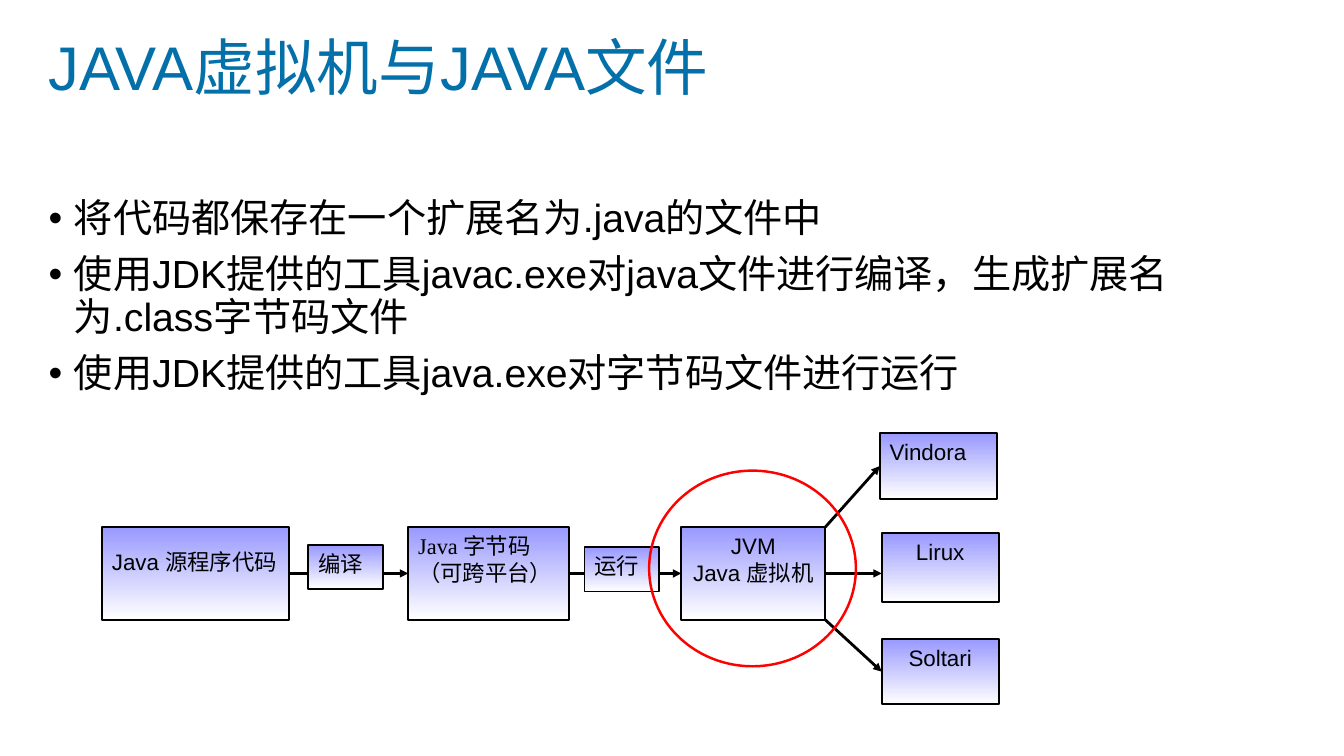
from lxml import etree
from pptx import Presentation
from pptx.dml.color import RGBColor
from pptx.enum import shapes, text
from pptx.oxml.ns import qn
from pptx.util import Cm, Pt

COLORS = {"title": "0370A9", "ink": "000000", "box_top": "9999FF",
          "box_bottom": "FFFFFF", "highlight": "FF0000"}
SANS, SERIF = "Arial", "Times New Roman"
JUSTIFY, CENTER = text.PP_ALIGN.JUSTIFY, text.PP_ALIGN.CENTER

TITLE = "JAVA虚拟机与JAVA文件"
POINTS = [
    "将代码都保存在一个扩展名为.java的文件中",
    "使用JDK提供的工具javac.exe对java文件进行编译，生成扩展名为.class字节码文件",
    "使用JDK提供的工具java.exe对字节码文件进行运行",
]
# name: (left, top, width, height in cm), alignment, paragraphs of (text, font) runs
STAGES = {
    "source": ((2.57, 13.28, 4.72, 2.34), JUSTIFY,
               [[("Java ", SANS), ("源程序代码", SERIF)]]),
    "bytecode": ((10.29, 13.28, 4.06, 2.34), JUSTIFY,
                 [[("Java 字节码", SERIF)], [("（可跨平台）", SERIF)]]),
    "jvm": ((17.17, 13.28, 3.63, 2.34), CENTER,
            [[("JVM", SANS)], [("Java ", SANS), ("虚拟机", SERIF)]]),
    "upper": ((22.17, 10.92, 2.95, 1.65), JUSTIFY, [[("Vindora", SANS)]]),
    "middle": ((22.22, 13.44, 2.95, 1.73), CENTER, [[("Lirux", SANS)]]),
    "lower": ((22.22, 16.1, 2.95, 1.65), CENTER, [[("Soltari", SANS)]]),
}
STEPS = [
    ((7.77, 13.74, 1.88, 1.1), JUSTIFY, [[("编译", SERIF)]]),
    ((14.73, 13.79, 1.88, 1.12), JUSTIFY, [[("运行", SERIF)]]),
]
JVM_RING = (16.36, 11.86, 5.21, 4.93)


def color(name):
    return RGBColor.from_string(COLORS[name])


def place(shape, left, top, width, height):
    shape.left, shape.top = Cm(left), Cm(top)
    shape.width, shape.height = Cm(width), Cm(height)


def hang(paragraph, indent):
    """Indent all lines but the first by the given length."""
    properties = paragraph._p.get_or_add_pPr()
    properties.set("marL", str(indent))
    properties.set("indent", str(-indent))


def style(paragraph, font, size, color_name):
    paragraph.font.name = font
    paragraph.font.size = Pt(size)
    paragraph.font.color.rgb = color(color_name)


def add_box(slide, bounds, alignment, paragraphs):
    box = slide.shapes.add_shape(shapes.MSO_SHAPE.RECTANGLE, *map(Cm, bounds))
    box.shadow.inherit = False
    box.fill.gradient()
    box.fill.gradient_angle = 270
    for stop, name in zip(box.fill.gradient_stops, ("box_top", "box_bottom")):
        stop.color.rgb = color(name)
    box.line.color.rgb = color("ink")
    box.line.width = Pt(1.25)
    frame = box.text_frame
    frame.word_wrap = True
    frame.vertical_anchor = text.MSO_ANCHOR.TOP
    for i, runs in enumerate(paragraphs):
        paragraph = frame.add_paragraph() if i else frame.paragraphs[0]
        paragraph.alignment = alignment
        hang(paragraph, Cm(0.95))
        main_font = runs[0][1]
        style(paragraph, main_font, 16, "ink")
        for words, font in runs:
            run = paragraph.add_run()
            run.text = words
            if font != main_font:
                run.font.name = font
    return box


def add_arrow(slide, start, end):
    arrow = slide.shapes.add_connector(shapes.MSO_CONNECTOR.STRAIGHT, *start, *end)
    arrow.line.color.rgb = color("ink")
    arrow.line.width = Pt(2)
    etree.SubElement(arrow.line._get_or_add_ln(), qn("a:tailEnd"), type="triangle")
    etree.SubElement(arrow._element.spPr, qn("a:effectLst"))
    return arrow


def main():
    deck = Presentation()
    deck.slide_width, deck.slide_height = Cm(33.87), Cm(19.05)
    slide = deck.slides.add_slide(deck.slide_layouts[1])

    title, body = slide.placeholders
    place(title, 0.97, 0.51, 21.59, 2.54)
    title.text_frame.text = TITLE
    title.text_frame.vertical_anchor = text.MSO_ANCHOR.MIDDLE
    heading = title.text_frame.paragraphs[0]
    heading.alignment = text.PP_ALIGN.LEFT
    heading.line_spacing = 0.9
    style(heading, SANS, 44, "title")

    place(body, 0.97, 4.88, 29.21, 12.09)
    body.text_frame.text = "\n".join(POINTS)
    body.text_frame.auto_size = text.MSO_AUTO_SIZE.NONE
    for point in body.text_frame.paragraphs:
        hang(point, Cm(0.64))
        point.line_spacing = 0.9
        point.space_before = Pt(10)
        style(point, SANS, 28, "ink")

    boxes = {name: add_box(slide, *stage) for name, stage in STAGES.items()}
    boxes["source"].text_frame.margin_top = Cm(0.53)

    for origin, target in (("source", "bytecode"), ("bytecode", "jvm")):
        arrow = add_arrow(slide, (0, 0), (0, 0))
        arrow.begin_connect(boxes[origin], 3)
        arrow.end_connect(boxes[target], 1)

    jvm = boxes["jvm"]
    right, centre = jvm.left + jvm.width, jvm.top + jvm.height // 2
    for target, corner in (("upper", jvm.top), ("lower", jvm.top + jvm.height)):
        add_arrow(slide, (right, corner), (0, 0)).end_connect(boxes[target], 1)
    level = add_arrow(slide, (right, centre), (boxes["middle"].left, centre))
    level.begin_connect(jvm, 3)

    for step in STEPS:
        add_box(slide, *step)

    ring = slide.shapes.add_shape(shapes.MSO_SHAPE.OVAL, *map(Cm, JVM_RING))
    ring.shadow.inherit = False
    ring.fill.background()
    ring.line.color.rgb = color("highlight")
    ring.line.width = Pt(1.75)

    deck.save("out.pptx")


if __name__ == "__main__":
    main()
